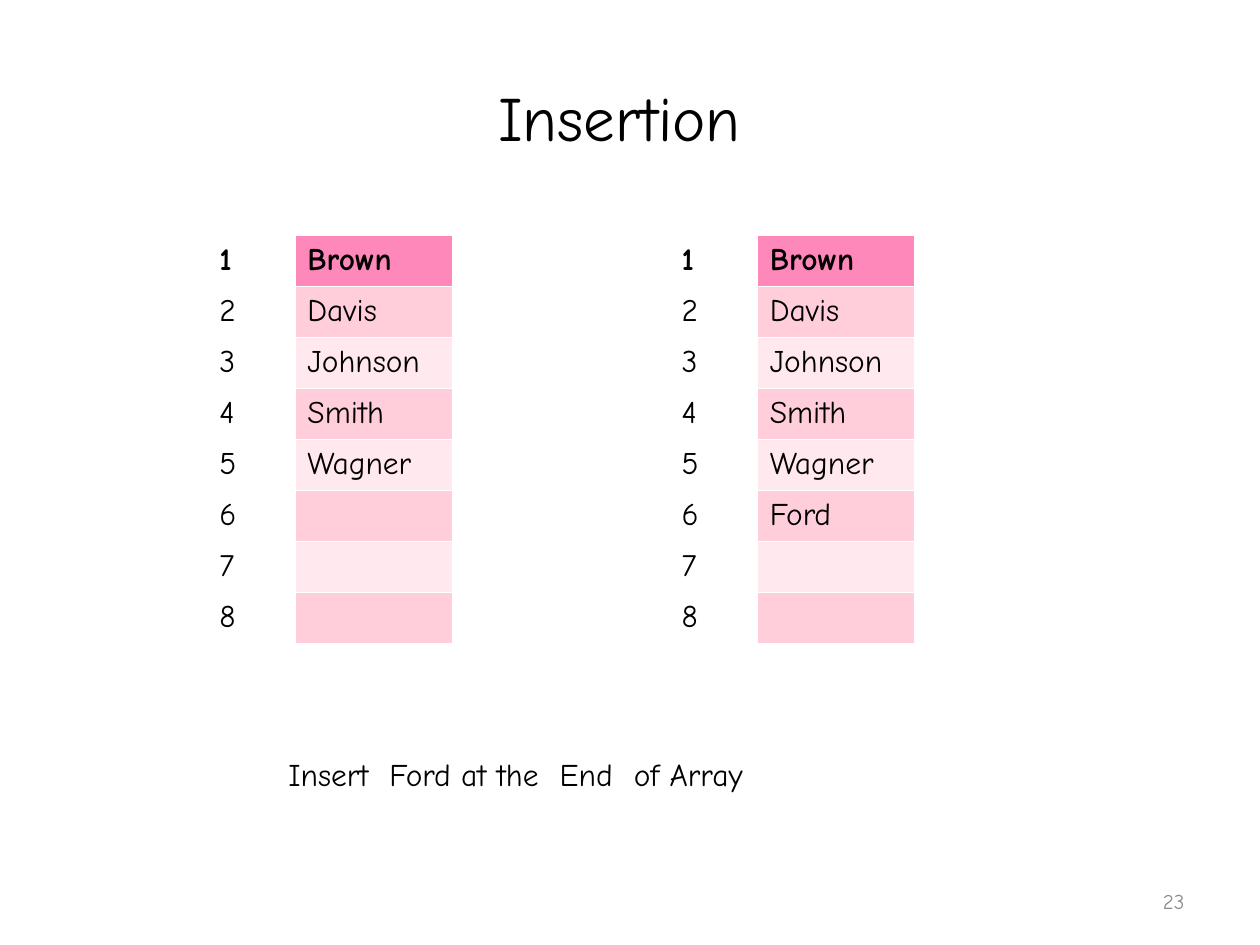
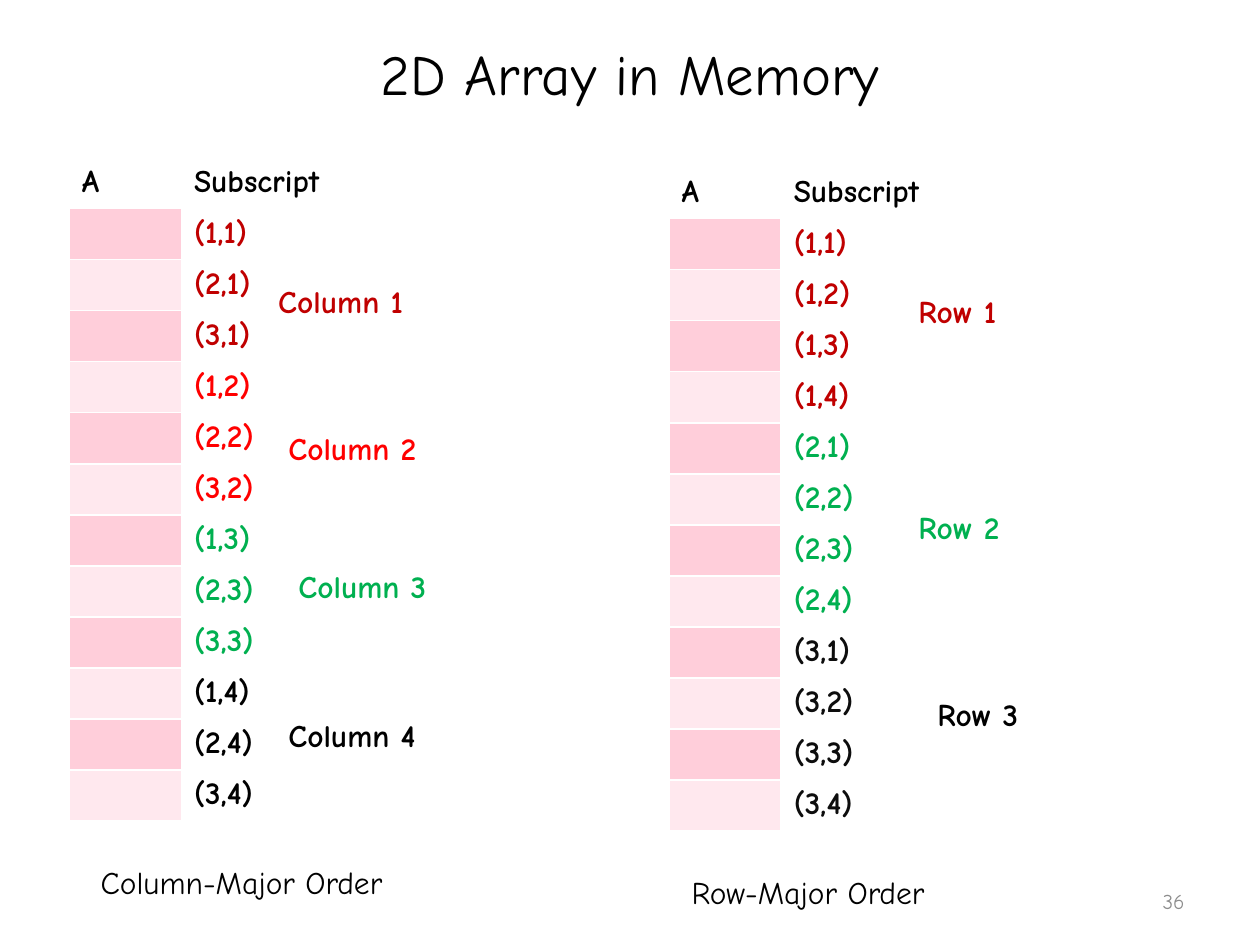
from pptx import Presentation
from pptx.dml.color import RGBColor
from pptx.enum.text import MSO_ANCHOR, PP_ALIGN
from pptx.util import Inches, Pt

COLORS = {
    "black": "000000", "near_black": "0D0D0D", "gray": "8C8C8C",
    "white": "FFFFFF", "maroon": "C00000", "red": "FF0000",
    "green": "00B050", "head": "FF88BA", "band": "FFCEDA", "pale": "FFE8EE",
}


class Deck:
    font = "Comic Neue"

    def __init__(self):
        self.prs = Presentation()
        self.prs.slide_width = Inches(10)
        self.prs.slide_height = Inches(7.5)
        self.slide = None

    def color(self, name):
        return RGBColor.from_string(COLORS[name])

    def style(self, p, size=18, color="black", bold=False, align=PP_ALIGN.LEFT):
        p.alignment = align
        p.font.name = self.font
        p.font.size = Pt(size)
        p.font.bold = bold
        p.font.color.rgb = self.color(color)

    def add_slide(self, title, title_height, title_size, number):
        self.slide = self.prs.slides.add_slide(self.prs.slide_layouts[5])
        sp = self.slide.shapes.title
        sp.left, sp.top = Inches(0.5), Inches(0.3)
        sp.width, sp.height = Inches(9), Inches(title_height)
        tf = sp.text_frame
        tf.text = title
        tf.vertical_anchor = MSO_ANCHOR.MIDDLE
        self.style(tf.paragraphs[0], title_size, align=PP_ALIGN.CENTER)
        self.text(number, 7.17, 6.95, 2.33, size=12, color="gray",
                  align=PP_ALIGN.RIGHT, anchor=MSO_ANCHOR.MIDDLE)

    def text(self, text, left, top, width, anchor=MSO_ANCHOR.TOP, **style):
        sp = self.slide.shapes.add_textbox(
            Inches(left), Inches(top), Inches(width), Inches(0.4))
        tf = sp.text_frame
        tf.word_wrap = True
        tf.vertical_anchor = anchor
        tf.text = text
        self.style(tf.paragraphs[0], **style)

    def table(self, left, top, widths, height, rows):
        table = self.slide.shapes.add_table(
            len(rows), len(widths), Inches(left), Inches(top),
            Inches(sum(widths)), Inches(height)).table
        for column, width in zip(table.columns, widths):
            column.width = Inches(width)
        for i, row in enumerate(rows):
            for j, (text, fill, color, bold) in enumerate(row):
                cell = table.cell(i, j)
                cell.text = text
                self.style(cell.text_frame.paragraphs[0], color=color, bold=bold)
                if fill:
                    cell.fill.solid()
                    cell.fill.fore_color.rgb = self.color(fill)
                else:
                    cell.fill.background()

    def band(self, i):
        return "band" if i % 2 else "pale"

    def name_array(self, left, names):
        rows = []
        for i in range(8):
            name = names[i] if i < len(names) else ""
            fill = self.band(i) if i else "head"
            rows.append([(str(i + 1), None, "black", i == 0),
                         (name, fill, "black", i == 0)])
        self.table(left, 1.87, (0.7, 1.25), 3.24, rows)

    def memory(self, left, top, subscripts, colors):
        rows = [[("A", "white", "black", True),
                 ("Subscript", "white", "black", True)]]
        group = len(subscripts) // len(colors)
        for i, (row, column) in enumerate(subscripts):
            rows.append([("", self.band(i + 1), "black", True),
                         (f"({row},{column})", "white", colors[i // group], True)])
        self.table(left, top, (0.89, 1.56), 5.27, rows)

    def group_labels(self, word, places):
        for i, (left, top, color) in enumerate(places, 1):
            self.text(f"{word} {i}", left, top, 1.41, color=color, bold=True)


deck = Deck()

deck.add_slide("Insertion ", 1.25, 36, "23")
names = ["Brown", "Davis", "Johnson", "Smith", "Wagner"]
deck.name_array(1.64, names)
deck.name_array(5.31, names + ["Ford"])
deck.text("Insert  Ford at the  End  of Array", 2.19, 5.94, 5.63)

deck.add_slide("2D Array in Memory", 0.56, 32.4, "36")
row_range, column_range = range(1, 4), range(1, 5)
deck.memory(0.55, 1.25, [(r, c) for c in column_range for r in row_range],
            ["maroon", "red", "green", "black"])
deck.group_labels("Column", [(2.11, 2.19, "maroon"), (2.19, 3.36, "red"),
                             (2.27, 4.45, "green"), (2.19, 5.63, "black")])
deck.memory(5.31, 1.33, [(r, c) for r in row_range for c in column_range],
            ["maroon", "green", "near_black"])
deck.group_labels("Row", [(7.19, 2.27, "maroon"), (7.19, 3.98, "green"),
                          (7.34, 5.47, "black")])
deck.text("Column-Major Order", 0.7, 6.8, 2.81)
deck.text("Row-Major Order", 5.39, 6.88, 3.44)

deck.prs.save("out.pptx")
